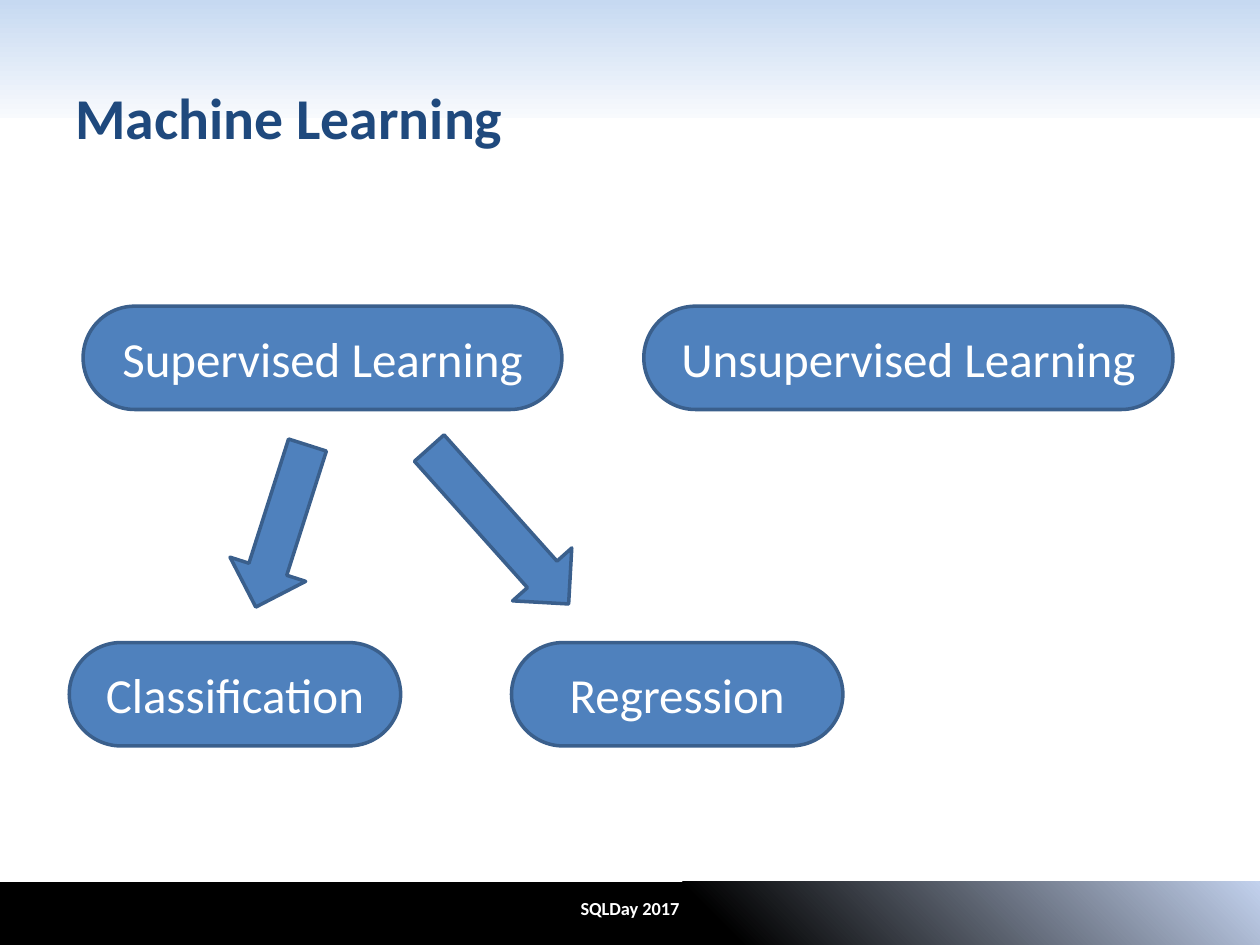
import pptx
import pptx.util
import pptx.dml.color
import pptx.enum.shapes
import pptx.enum.text

Inches = pptx.util.Inches
Kind = pptx.enum.shapes.MSO_SHAPE
Align = pptx.enum.text.PP_ALIGN
COLORS = {
    "sky": "C6D9F1", "mist": "F8FAFD", "black": "000000", "haze": "C2D1ED",
    "navy": "1F497D", "blue": "4F81BD", "edge": "3A5F8C", "white": "FFFFFF",
}


def color(name):
    """Return the named colour."""
    return pptx.dml.color.RGBColor.from_string(COLORS[name])


def write(shape, text, size, tint, align, bold=False):
    """Put one styled line of text in a shape, centred vertically."""
    frame = shape.text_frame
    frame.word_wrap = True
    frame.vertical_anchor = pptx.enum.text.MSO_ANCHOR.MIDDLE
    frame.text = text
    line = frame.paragraphs[0]
    line.alignment = align
    font = line.runs[0].font
    font.name, font.size, font.bold = "Calibri", pptx.util.Pt(size), bold
    font.color.rgb = color(tint)


def add_band(slide, top, height, angle, stops):
    """Add a full-width gradient band."""
    band = slide.shapes.add_shape(
        Kind.RECTANGLE, 0, Inches(top), Inches(10), Inches(height))
    band.shadow.inherit = False
    band.line.fill.background()
    band.fill.gradient()
    band.fill.gradient_angle = angle
    for stop, (place, name) in zip(band.fill.gradient_stops, stops):
        stop.position = place
        stop.color.rgb = color(name)


def add_label(slide, box, text, size, tint, align, margins=(0.1, 0.05)):
    """Add a bold text box."""
    label = slide.shapes.add_textbox(*map(Inches, box))
    frame = label.text_frame
    frame.margin_left = frame.margin_right = Inches(margins[0])
    frame.margin_top = frame.margin_bottom = Inches(margins[1])
    write(label, text, size, tint, align, True)


def add_block(slide, kind, box):
    """Add a blue outlined shape."""
    block = slide.shapes.add_shape(kind, *map(Inches, box))
    block.shadow.inherit = False
    block.fill.solid()
    block.fill.fore_color.rgb = color("blue")
    block.line.color.rgb = color("edge")
    block.line.width = pptx.util.Pt(2)
    return block


def add_pill(slide, left, top, width, text):
    """Add a rounded block with a caption."""
    pill = add_block(slide, Kind.ROUNDED_RECTANGLE, (left, top, width, 0.82))
    pill.adjustments[0] = 0.5
    write(pill, text, 28, "white", Align.CENTER)


def add_arrow(slide, left, width, turn):
    """Add a turned block arrow between the two rows."""
    arrow = add_block(slide, Kind.RIGHT_ARROW, (left, 3.86, width, 0.63))
    arrow.rotation = turn


def main():
    """Build the slide and save it."""
    deck = pptx.Presentation()
    deck.slide_width, deck.slide_height = Inches(10), Inches(7.5)
    slide = deck.slides.add_slide(deck.slide_layouts[6])
    add_band(slide, 0, 0.94, 270, [(0, "sky"), (1, "mist")])
    add_band(slide, 7, 0.5, 45, [(0.56, "black"), (1, "haze")])
    add_label(slide, (2.79, 7, 4.42, 0.42), "SQLDay 2017", 10.5, "white",
              Align.CENTER, (0.07, 0.04))
    add_label(slide, (0.5, 0.3, 9, 1.25), "Machine Learning", 33, "navy",
              Align.LEFT)
    for left, top, width, text in [
        (0.66, 2.43, 3.8, "Supervised Learning"),
        (5.11, 2.43, 4.2, "Unsupervised Learning"),
        (0.55, 5.1, 2.63, "Classification"),
        (4.06, 5.1, 2.63, "Regression"),
    ]:
        add_pill(slide, left, top, width, text)
    add_arrow(slide, 1.56, 1.35, 107.7)
    add_arrow(slide, 3.13, 1.66, 48.2)
    deck.save("out.pptx")


if __name__ == "__main__":
    main()
